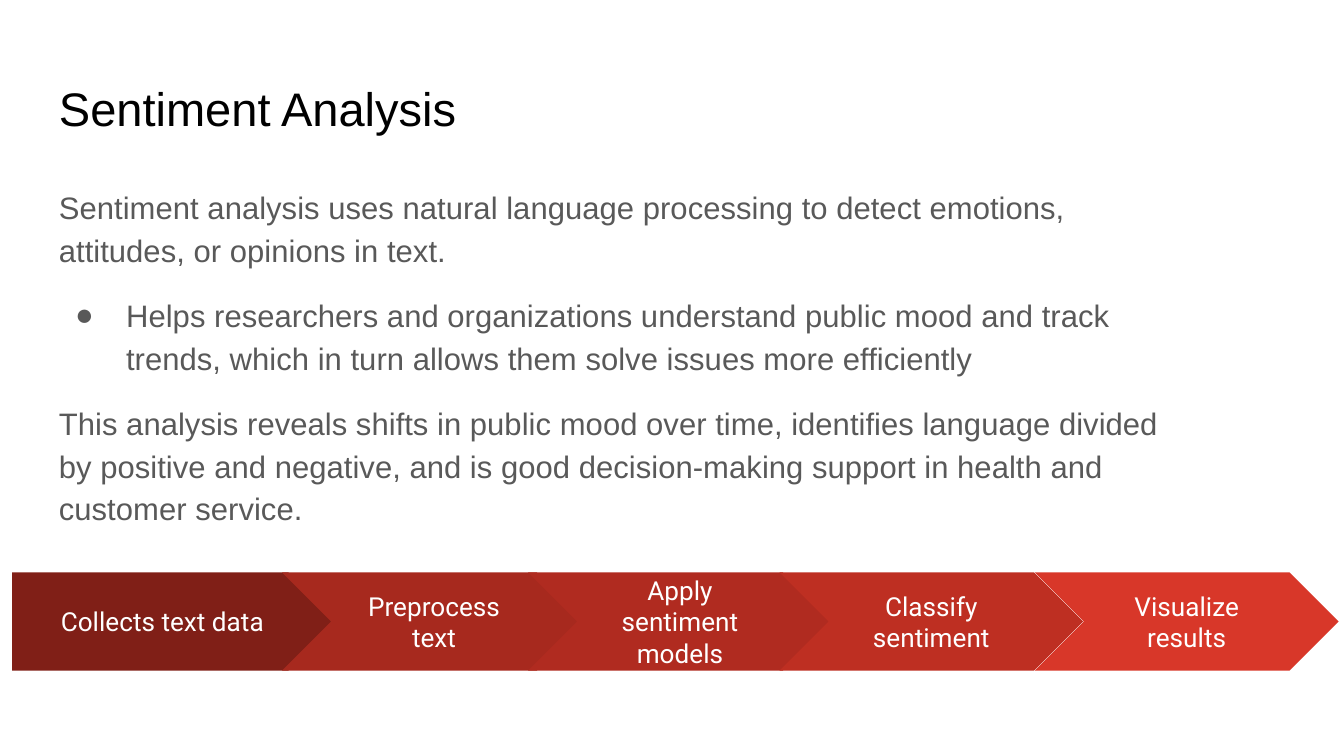
"""Build the Sentiment Analysis slide with its five-step process arrow."""
from lxml import etree
from pptx import Presentation
from pptx.dml.color import RGBColor
from pptx.enum.shapes import MSO_SHAPE
from pptx.enum.text import MSO_ANCHOR, PP_ALIGN
from pptx.oxml.ns import qn
from pptx.util import Inches, Pt

PLATE, CHEVRON = MSO_SHAPE.PENTAGON, MSO_SHAPE.CHEVRON
TOP, MIDDLE = MSO_ANCHOR.TOP, MSO_ANCHOR.MIDDLE
CENTER = PP_ALIGN.CENTER

BLACK = RGBColor(0x00, 0x00, 0x00)
GRAY = RGBColor(0x59, 0x59, 0x59)
WHITE = RGBColor(0xFF, 0xFF, 0xFF)
MAROON = RGBColor(0x80, 0x1F, 0x17)
BRICK = RGBColor(0xA7, 0x29, 0x1E)
RUST = RGBColor(0xB0, 0x2B, 0x20)
RED = RGBColor(0xBE, 0x2F, 0x22)
SCARLET = RGBColor(0xD8, 0x37, 0x29)

TITLE = "Sentiment Analysis"
BODY = [
    ("Sentiment analysis uses natural language processing to detect emotions, "
     "attitudes, or opinions in text.", False),
    ("Helps researchers and organizations understand public mood and track "
     "trends, which in turn allows them solve issues more efficiently", True),
    ("This analysis reveals shifts in public mood over time, identifies "
     "language divided by positive and negative, and is good decision-making "
     "support in health and customer service.", False),
]
STEPS = [
    ("Collects text data", PLATE, MAROON, 0.09, 2.42),
    ("Preprocess text", CHEVRON, BRICK, 2.1, 2.26),
    ("Apply sentiment models", CHEVRON, RUST, 3.93, 2.26),
    ("Classify sentiment", CHEVRON, RED, 5.8, 2.26),
    ("Visualize results", CHEVRON, SCARLET, 7.7, 2.26),
]
WIDTH = 10
HEIGHT = WIDTH * 9 / 16
LEFT = 0.34
STEP_TOP, STEP_HEIGHT = 4.26, 0.73


def set_frame(frame, anchor):
    frame.word_wrap = True
    frame.vertical_anchor = anchor
    frame.margin_left = frame.margin_right = Inches(0.1)
    frame.margin_top = frame.margin_bottom = Inches(0.1)
    return frame


def set_font(para, name, size, color):
    para.font.name = name
    para.font.size = Pt(size)
    para.font.color.rgb = color


def add_box(slide, top, width, height):
    box = slide.shapes.add_textbox(
        Inches(LEFT), Inches(top), Inches(width), Inches(height))
    return set_frame(box.text_frame, TOP)


def add_bullet(para):
    props = para._p.get_or_add_pPr()
    props.set("marL", str(Inches(0.5)))
    props.set("indent", str(Inches(-0.38)))
    tint = etree.SubElement(props, qn("a:buClr"))
    etree.SubElement(tint, qn("a:srgbClr"), val=str(GRAY))
    etree.SubElement(props, qn("a:buFont"), typeface="Arial")
    etree.SubElement(props, qn("a:buChar"), char="●")


def add_body(slide):
    frame = add_box(slide, 1.26, 8.57, 2.71)
    for index, (text, bullet) in enumerate(BODY):
        para = frame.add_paragraph() if index else frame.paragraphs[0]
        para.text = text
        if bullet:
            add_bullet(para)
        para.line_spacing = 1.15
        if index:
            para.space_before = Pt(12)
        set_font(para, "Arial", 16.65, GRAY)


def add_step(slide, text, kind, color, left, width):
    shape = slide.shapes.add_shape(
        kind, Inches(left), Inches(STEP_TOP), Inches(width), Inches(STEP_HEIGHT))
    shape.adjustments[0] = 0.5
    shape.shadow.inherit = False
    shape.fill.solid()
    shape.fill.fore_color.rgb = color
    shape.line.fill.background()
    para = set_frame(shape.text_frame, MIDDLE).paragraphs[0]
    para.text = text
    para.alignment = CENTER
    set_font(para, "Roboto", 14, WHITE)


def main():
    deck = Presentation()
    deck.slide_width, deck.slide_height = Inches(WIDTH), Inches(HEIGHT)
    slide = deck.slides.add_slide(deck.slide_layouts[6])
    head = add_box(slide, 0.49, WIDTH - 2 * LEFT, 0.63).paragraphs[0]
    head.text = TITLE
    set_font(head, "Arial", 25.2, BLACK)
    add_body(slide)
    for step in STEPS:
        add_step(slide, *step)
    deck.save("out.pptx")


if __name__ == "__main__":
    main()
